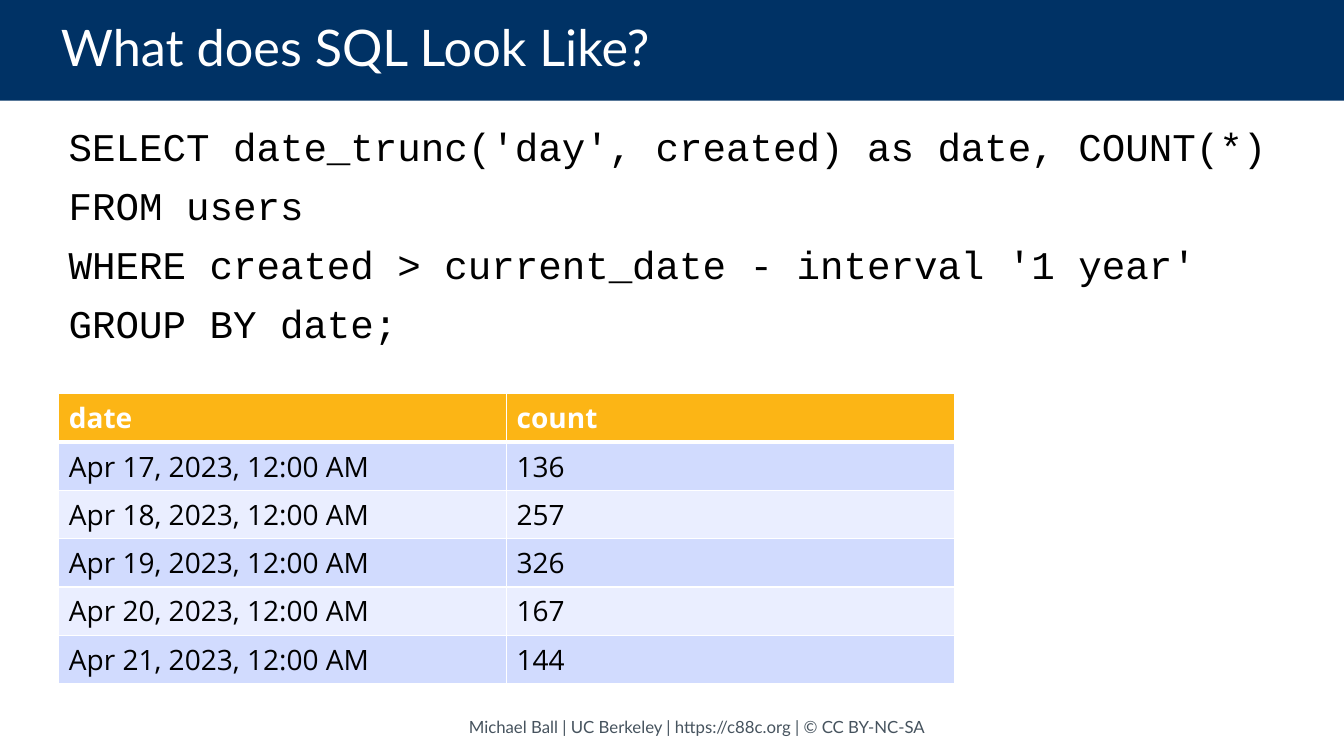
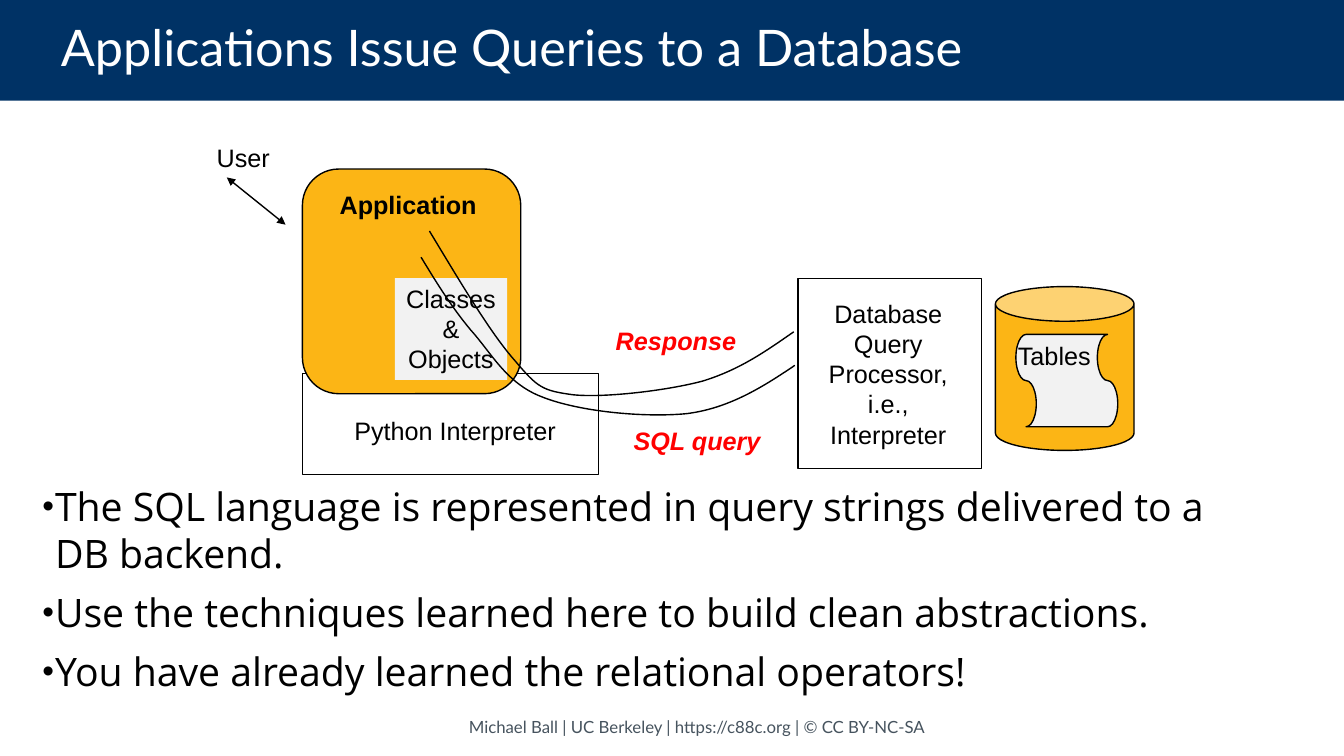
"""Build two slides about SQL queries and how applications send them to a database."""
from lxml import etree
from pptx import Presentation
from pptx import util as u
from pptx.dml.color import RGBColor
from pptx.enum import shapes, text
from pptx.oxml import parse_xml
from pptx.oxml.ns import nsdecls, qn

PX = 9525
NAVY, GOLD, GREY, BLACK, WHITE, RED = "003265", "FCB515", "F2F2F2", "000000", "FFFFFF", "FF0000"
BANDS = ["EAEEFF", "D1DBFE"]
FOOTER = "Michael Ball | UC Berkeley | https://c88c.org | © CC BY-NC-SA"
LABEL = dict(name="Arial", size=u.Pt(18))
RED_LABEL = dict(LABEL, bold=True, italic=True)
CENTER = dict(alignment=text.PP_ALIGN.CENTER)
SPACED = dict(space_before=u.Pt(8.4))
MIDDLE = dict(vertical_anchor=text.MSO_ANCHOR.MIDDLE)
KIND = shapes.MSO_SHAPE


def rgb(value):
    """Return a colour from a hex string."""
    return RGBColor.from_string(value)


def add(s, at, lines=(), kind=None, fill=None, line=None, font=LABEL, color=BLACK,
        para={}, frame={}, bullet=False):
    """Add a text box, or a preset shape when kind is given, with formatted paragraphs."""
    place = [v * PX for v in at]
    if kind is None:
        sp = s.shapes.add_textbox(*place)
    else:
        sp = s.shapes.add_shape(kind, *place)
        sp.shadow.inherit = False
        if fill:
            sp.fill.solid()
            sp.fill.fore_color.rgb = rgb(fill)
        else:
            sp.fill.background()
        if line:
            sp.line.color.rgb = rgb(line)
            sp.line.width = u.Pt(1)
        else:
            sp.line.fill.background()
    tf = sp.text_frame
    for key, value in dict(dict(word_wrap=True, vertical_anchor=text.MSO_ANCHOR.TOP), **frame).items():
        setattr(tf, key, value)
    for i, words in enumerate(lines):
        p = tf.paragraphs[0] if i == 0 else tf.add_paragraph()
        if bullet:
            pPr = p._p.get_or_add_pPr()
            pPr.set("marL", str(12 * PX))
            pPr.set("indent", str(-12 * PX))
            etree.SubElement(pPr, qn("a:buSzPct")).set("val", "85000")
            etree.SubElement(pPr, qn("a:buFont")).set("typeface", "Arial")
            etree.SubElement(pPr, qn("a:buChar")).set("char", "•")
        for key, value in dict(dict(alignment=text.PP_ALIGN.LEFT), **para).items():
            if i or key != "space_before":
                setattr(p, key, value)
        r = p.add_run()
        r.text = words
        for key, value in font.items():
            setattr(r.font, key, value)
        r.font.color.rgb = rgb(color)
    return sp


prs = Presentation()
prs.slide_width, prs.slide_height = 1280 * PX, 720 * PX
slides = []
for title in ["What does SQL Look Like?", "Applications Issue Queries to a Database"]:
    s = prs.slides.add_slide(prs.slide_layouts[6])
    add(s, (0, 0, 1280, 96), [title], KIND.RECTANGLE, NAVY, color=WHITE,
        font=dict(name="Lato", size=u.Pt(36)), para=dict(line_spacing=0.9),
        frame=dict(MIDDLE, margin_left=58 * PX, margin_right=96 * PX))
    add(s, (424, 676, 480, 32), [FOOTER], color="46535E",
        font=dict(name="Lato", size=u.Pt(12)), para=CENTER, frame=MIDDLE)
    slides.append(s)

s = slides[0]
add(s, (56, 112, 1178, 552),
    ["SELECT date_trunc('day', created) as date, COUNT(*)", "FROM users",
     "WHERE created > current_date - interval '1 year'", "GROUP BY date;"],
    font=dict(name="Courier New", size=u.Pt(28)), para=SPACED)

rows = [("date", "count")]
rows += [(f"Apr {day}, 2023, 12:00 AM", str(count))
         for day, count in enumerate([136, 257, 326, 167, 144], 17)]
frame = s.shapes.add_table(len(rows), 2, 56 * PX, 375 * PX, 853 * PX, 46 * len(rows) * PX)
for i, values in enumerate(rows):
    for j, value in enumerate(values):
        cell = frame.table.cell(i, j)
        tcPr = cell._tc.get_or_add_tcPr()
        for side in "LRTB":
            points = 3 if (i, side) in [(0, "B"), (1, "T")] else 1
            tcPr.append(parse_xml(
                f'<a:ln{side} {nsdecls("a")} w="{u.Pt(points)}"><a:solidFill>'
                f'<a:srgbClr val="{WHITE}"/></a:solidFill></a:ln{side}>'))
        cell.fill.solid()
        cell.fill.fore_color.rgb = rgb(BANDS[i % 2] if i else GOLD)
        r = cell.text_frame.paragraphs[0].add_run()
        r.text = value
        for key, setting in dict(name="Open Sans", size=u.Pt(20), bold=i == 0).items():
            setattr(r.font, key, setting)
        r.font.color.rgb = rgb(BLACK if i else WHITE)

s = slides[1]
add(s, (288, 356, 282, 96), kind=KIND.RECTANGLE, line=BLACK)
add(s, (288, 161, 208, 214), kind=KIND.ROUNDED_RECTANGLE, fill=GOLD, line=BLACK)
add(s, (31, 455, 1178, 240),
    ["The SQL language is represented in query strings delivered to a DB backend.",
     "Use the techniques learned here to build clean abstractions.",
     "You have already learned the relational operators!"],
    font=dict(name="Open Sans", size=u.Pt(28)), bullet=True, para=SPACED)
add(s, (328, 391, 213, 38), ["Python Interpreter"])
add(s, (314, 176, 152, 38), ["Application"], font=dict(LABEL, bold=True))
add(s, (760, 265, 175, 181), kind=KIND.RECTANGLE, line=BLACK)
add(s, (768, 279, 156, 156), ["Database Query Processor,", "i.e., Interpreter"], para=CENTER)
add(s, (376, 265, 107, 97), ["Classes & Objects"], KIND.RECTANGLE, GREY, para=CENTER)
add(s, (197, 131, 70, 38), ["User"])

arrow = s.shapes.add_connector(shapes.MSO_CONNECTOR.STRAIGHT, 216 * PX, 169 * PX, 272 * PX, 214 * PX)
arrow.line.color.rgb = rgb(BLACK)
arrow.line.width = u.Pt(1)
for end in ["headEnd", "tailEnd"]:
    etree.SubElement(arrow.line._get_or_add_ln(), qn(f"a:{end}")).set("type", "triangle")
etree.SubElement(arrow._element.spPr, qn("a:effectLst"))

QUERY = [(401, 245), (415, 268), (429, 291), (448, 314), (468, 336), (482, 365), (516, 378),
         (551, 392), (613, 398), (654, 394), (694, 389), (726, 369), (757, 348)]
RESPONSE = [(756, 316), (730, 334), (705, 352), (669, 363), (635, 372), (576, 379), (546, 376),
            (516, 372), (512, 369), (490, 343), (467, 317), (438, 268), (409, 220)]
for curve, label, at in [(QUERY, "SQL query", (594, 400, 141, 38)),
                         (RESPONSE, "Response", (577, 305, 135, 38))]:
    builder = s.shapes.build_freeform(*curve[0], scale=PX)
    builder.add_line_segments(curve[1:], close=False)
    sp = builder.convert_to_shape()
    segments = list(sp._element.iter(qn("a:lnTo")))
    outline = segments[0].getparent()
    for k in range(0, len(segments), 3):
        bezier = etree.SubElement(outline, qn("a:cubicBezTo"))
        for segment in segments[k:k + 3]:
            bezier.append(segment[0])
            outline.remove(segment)
    sp.shadow.inherit = False
    sp.fill.background()
    sp.line.color.rgb = rgb(BLACK)
    sp.line.width = u.Pt(1)
    add(s, at, [label], font=RED_LABEL, color=RED)

add(s, (948, 273, 132, 156), kind=KIND.CAN, fill=GOLD, line=BLACK)
tape = add(s, (972, 314, 88, 97), kind=KIND.FLOWCHART_PUNCHED_TAPE, fill=GREY, line=BLACK)
tape.rotation = 90
add(s, (960, 319, 120, 43), ["Tables"])

prs.save("out.pptx")
